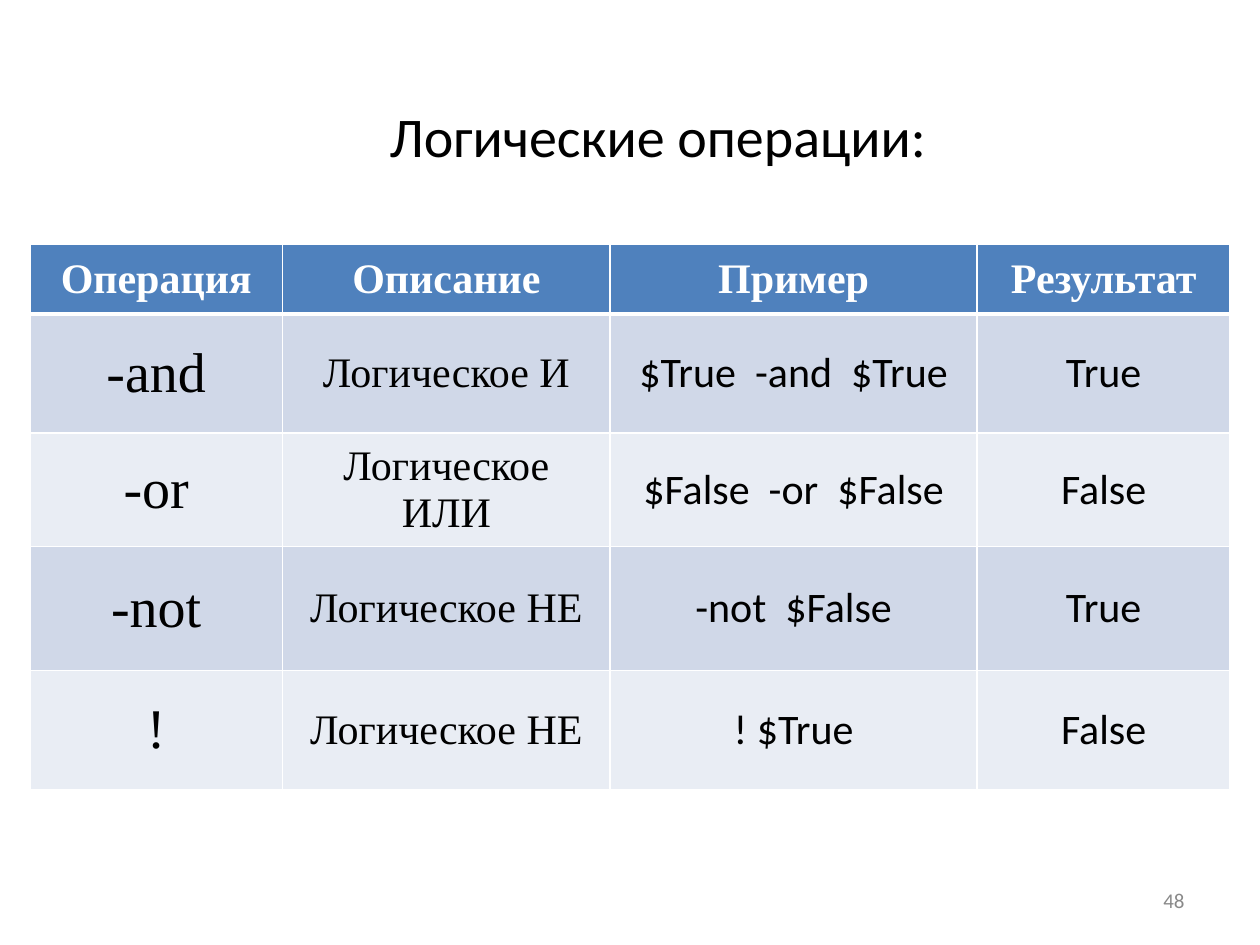
from lxml import etree
from pptx import Presentation
from pptx import util as u
from pptx.dml.color import RGBColor
from pptx.enum import text
from pptx.oxml import ns

BLACK = RGBColor(0x00, 0x00, 0x00)
WHITE = RGBColor(0xFF, 0xFF, 0xFF)
GREY = RGBColor(0x89, 0x89, 0x89)
BLUE = RGBColor(0x4F, 0x81, 0xBD)
BANDS = (RGBColor(0xE9, 0xED, 0xF4), RGBColor(0xD0, 0xD8, 0xE8))

SANS = "Calibri"
SERIF = "Times New Roman"
MID = text.MSO_ANCHOR.MIDDLE
ALIGN = text.PP_ALIGN

HEAD = {"size": u.Pt(24), "name": SERIF, "bold": True}
SIGN = {"size": u.Pt(32), "name": SERIF, "bold": False}
WORD = {"size": u.Pt(24), "name": SERIF, "bold": False}
CODE = {"size": u.Pt(24), "name": SANS, "bold": False}
TITLE = {"size": u.Pt(32), "name": SANS}
SMALL = {"size": u.Pt(12), "name": SANS}

COLS = (5.1, 6.6, 7.4, 5.1)
ROWS = (1.4, 2.4, 1.9, 2.5, 2.4)
DATA = (
    ("Операция", "Описание", "Пример", "Результат"),
    ("-and", "Логическое И", "$True  -and  $True", "True"),
    ("-or", "Логическое ИЛИ", "$False  -or  $False", "False"),
    ("-not", "Логическое НЕ", "-not  $False", "True"),
    ("!", "Логическое НЕ", "! $True", "False"),
)


class Deck:
    def __init__(self, slide):
        self.slide = slide

    def fill_text(self, frame, words, form, color, align):
        par = frame.paragraphs[0]
        par.alignment = align
        run = par.add_run()
        run.text = words
        for key, val in form.items():
            setattr(run.font, key, val)
        run.font.color.rgb = color
        return par

    def line(self, tag, color, width):
        line = etree.Element(ns.qn(tag), w=str(u.Pt(width)))
        fill = etree.SubElement(line, ns.qn("a:solidFill"))
        etree.SubElement(fill, ns.qn("a:srgbClr"), val=str(color))
        return line

    def label(self, box, words, form, color, align, anchor):
        shape = self.slide.shapes.add_textbox(*map(u.Cm, box))
        frame = shape.text_frame
        frame.word_wrap = True
        frame.vertical_anchor = anchor
        return self.fill_text(frame, words, form, color, align)

    def cell(self, cell, words, form, color, fill, edges):
        cell.fill.solid()
        cell.fill.fore_color.rgb = fill
        cell.vertical_anchor = MID
        par = self.fill_text(cell.text_frame, words, form, color, ALIGN.CENTER)
        if form is SIGN:
            props = par.runs[0]._r.get_or_add_rPr()
            props.insert(0, self.line("a:ln", BLACK, 1))
        props = cell._tc.get_or_add_tcPr()
        for spot, (side, width) in enumerate(edges.items()):
            props.insert(spot, self.line(f"a:ln{side}", WHITE, width))

    def table(self, left, top, cols, rows, data):
        size = (left, top, sum(cols), sum(rows))
        frame = self.slide.shapes.add_table(len(rows), len(cols), *map(u.Cm, size))
        grid = frame.table
        for col, width in zip(grid.columns, cols):
            col.width = u.Cm(width)
        for r, (row, tall) in enumerate(zip(grid.rows, rows)):
            row.height = u.Cm(tall)
            edges = {"L": 1, "R": 1, "T": 3 if r == 1 else 1, "B": 3 if r == 0 else 1}
            forms = (SIGN, WORD, CODE, CODE) if r else (HEAD,) * len(cols)
            color, fill = (BLACK, BANDS[r % 2]) if r else (WHITE, BLUE)
            for cell, words, form in zip(row.cells, data[r], forms):
                self.cell(cell, words, form, color, fill, edges)


def main():
    show = Presentation()
    show.slide_width, show.slide_height = u.Cm(25.4), u.Cm(19.05)
    deck = Deck(show.slides.add_slide(show.slide_layouts[6]))
    title = deck.label((1.3, 1.93, 23.2, 2), "Логические операции: ",
                       TITLE, BLACK, ALIGN.CENTER, text.MSO_ANCHOR.TOP)
    title.space_before = u.Pt(6.4)
    title._p.get_or_add_pPr().set("indent", str(u.Cm(1)))
    deck.table(0.6, 4.93, COLS, ROWS, DATA)
    deck.label((18.2, 17.65, 5.93, 1), "48", SMALL, GREY, ALIGN.RIGHT, MID)
    show.save("out.pptx")


if __name__ == "__main__":
    main()
